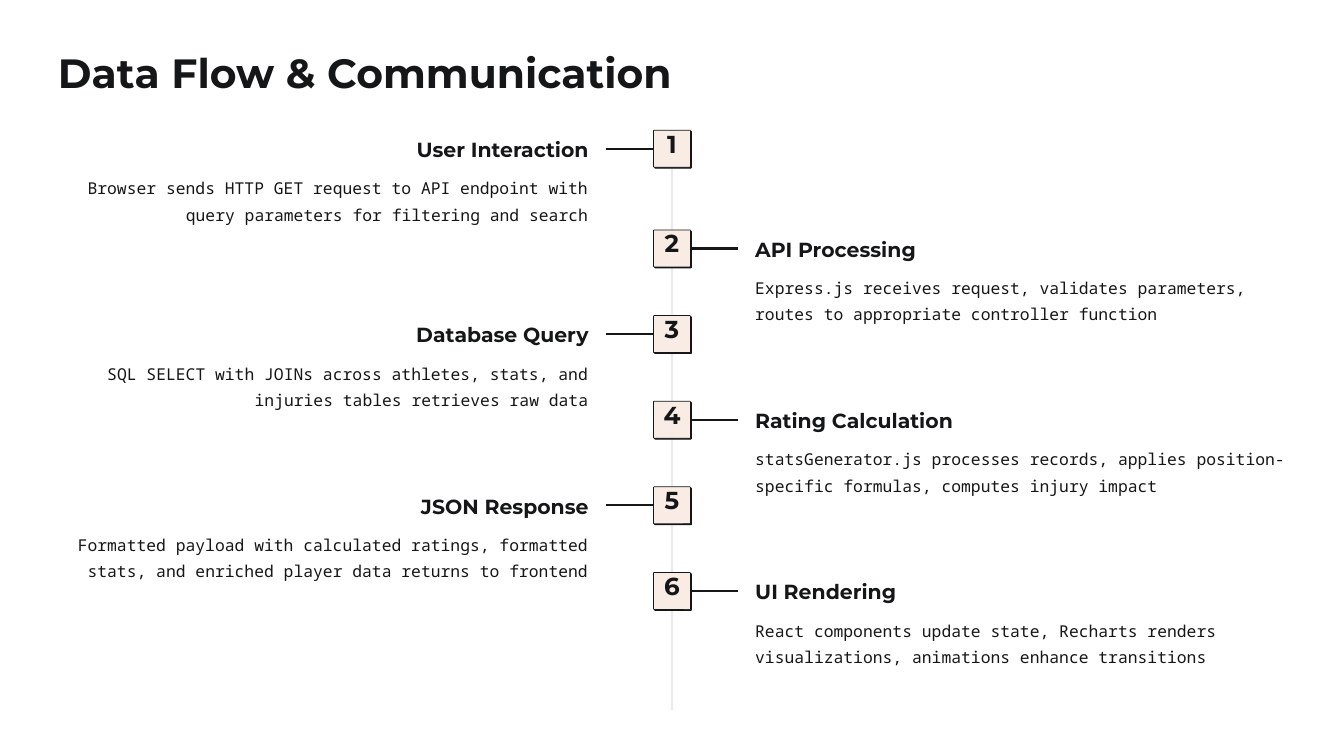
"""Build the six-step data flow timeline slide."""
from dataclasses import dataclass

from lxml import etree
from pptx import Presentation
from pptx.dml.color import RGBColor
from pptx.enum.shapes import MSO_CONNECTOR, MSO_SHAPE
from pptx.enum.text import MSO_ANCHOR, MSO_AUTO_SIZE, PP_ALIGN
from pptx.oxml.ns import qn
from pptx.shapes.autoshape import Shape
from pptx.shapes.connector import Connector
from pptx.slide import Slide
from pptx.util import Pt

STRAIGHT = MSO_CONNECTOR.STRAIGHT
ROUND = MSO_SHAPE.ROUNDED_RECTANGLE
TOP = MSO_ANCHOR.TOP
FIXED = MSO_AUTO_SIZE.NONE
LEFT, CENTER, RIGHT = PP_ALIGN.LEFT, PP_ALIGN.CENTER, PP_ALIGN.RIGHT

INK = RGBColor(0x15, 0x16, 0x17)
PEACH = RGBColor(0xF8, 0xEC, 0xE4)
BLACK = RGBColor(0, 0, 0)

WIDTH, HEIGHT = 1152, 648
MID = WIDTH / 2
SIDE = 31.7
FIRST, SECOND, STEP = 111.6, 197.1, 73.4
MARGIN, COLUMN, HEAD = 49.7, 455, 177.2
REACH = 56.9


@dataclass(frozen=True)
class Style:
    font: str
    size: float
    line: float
    bold: bool = True


TITLE = Style("Montserrat", 35, 44)
NUMBER = Style("Montserrat", 21, 21)
LABEL = Style("Montserrat", 17.5, 22)
BODY = Style("Noto Sans Mono", 14, 22.5, False)


@dataclass(frozen=True)
class Stage:
    name: str
    detail: str


STAGES = (
    Stage("User Interaction", "Browser sends HTTP GET request to API endpoint with "
          "query parameters for filtering and search"),
    Stage("API Processing", "Express.js receives request, validates parameters, "
          "routes to appropriate controller function"),
    Stage("Database Query", "SQL SELECT with JOINs across athletes, stats, and "
          "injuries tables retrieves raw data"),
    Stage("Rating Calculation", "statsGenerator.js processes records, applies "
          "position-specific formulas, computes injury impact"),
    Stage("JSON Response", "Formatted payload with calculated ratings, formatted "
          "stats, and enriched player data returns to frontend"),
    Stage("UI Rendering", "React components update state, Recharts renders "
          "visualizations, animations enhance transitions"),
)


def write(shape: Shape, text: str, style: Style, align: PP_ALIGN, inset: float = 0) -> None:
    """Fill a shape with one styled paragraph."""
    frame = shape.text_frame
    frame.text = text
    frame.word_wrap = True
    frame.auto_size = FIXED
    frame.vertical_anchor = TOP
    frame.margin_left = frame.margin_right = frame.margin_bottom = 0
    frame.margin_top = Pt(inset)
    para = frame.paragraphs[0]
    para.alignment = align
    para.line_spacing = Pt(style.line)
    para.font.name = style.font
    para.font.size = Pt(style.size)
    para.font.bold = style.bold
    para.font.color.rgb = INK


def add_text(slide: Slide, left: float, top: float, width: float, height: float,
             text: str, style: Style, align: PP_ALIGN) -> None:
    """Add a text box."""
    box = slide.shapes.add_textbox(Pt(left), Pt(top), Pt(width), Pt(height))
    write(box, text, style, align)


def add_line(slide: Slide, x1: float, y1: float, x2: float, y2: float,
             color: RGBColor) -> Connector:
    """Add a plain straight line."""
    line = slide.shapes.add_connector(STRAIGHT, Pt(x1), Pt(y1), Pt(x2), Pt(y2))
    line.line.color.rgb = color
    line.line.width = Pt(2)
    etree.SubElement(line.element.spPr, qn("a:effectLst"))
    return line


def add_spine(slide: Slide) -> None:
    """Add the faint vertical line behind the boxes."""
    spine = add_line(slide, MID, FIRST, MID, 608.4, BLACK)
    color = spine.element.spPr.find(".//" + qn("a:srgbClr"))
    etree.SubElement(color, qn("a:alpha"), val="8000")


def add_box(slide: Slide, top: float, number: int) -> Shape:
    """Add a numbered box with a hard shadow."""
    box = slide.shapes.add_shape(ROUND, Pt(MID - SIDE / 2), Pt(top), Pt(SIDE), Pt(SIDE))
    box.adjustments[0] = 0.02
    box.fill.solid()
    box.fill.fore_color.rgb = PEACH
    box.line.color.rgb = INK
    box.line.width = Pt(0.6)
    box.shadow.inherit = False
    effects = box.element.spPr.find(qn("a:effectLst"))
    shade = etree.SubElement(effects, qn("a:outerShdw"), blurRad="0",
                             dist=str(Pt(1.3)), dir="2700000", algn="bl",
                             rotWithShape="0")
    etree.SubElement(shade, qn("a:srgbClr"), val=str(INK))
    write(box, str(number), NUMBER, CENTER, 2.6)
    return box


def add_stage(slide: Slide, index: int, stage: Stage) -> None:
    """Add one stage, on the left or right of the spine in turn."""
    top = SECOND + (index - 1) * STEP if index else FIRST
    box = add_box(slide, top, index + 1)
    if index % 2:
        sign, site, align = 1, 3, LEFT
        body = head = WIDTH - MARGIN - COLUMN
    else:
        sign, site, align = -1, 1, RIGHT
        body, head = MARGIN, MARGIN + COLUMN - HEAD
    mid = top + SIDE / 2
    tick = add_line(slide, MID, mid, MID + sign * REACH, mid, INK)
    tick.begin_connect(box, site)
    add_text(slide, head, top + 4.9, HEAD, 22.3, stage.name, LABEL, align)
    add_text(slide, body, top + 35.8, COLUMN, 45.4, stage.detail, BODY, align)


def main() -> None:
    """Build and save the slide."""
    deck = Presentation()
    deck.slide_width, deck.slide_height = Pt(WIDTH), Pt(HEIGHT)
    slide = deck.slides.add_slide(deck.slide_layouts[5])
    title = slide.shapes.title
    title.left, title.top = Pt(MARGIN), Pt(38.9)
    title.width, title.height = Pt(548.6), Pt(44.6)
    write(title, "Data Flow & Communication", TITLE, LEFT)
    add_spine(slide)
    for index, stage in enumerate(STAGES):
        add_stage(slide, index, stage)
    deck.save("out.pptx")


if __name__ == "__main__":
    main()
